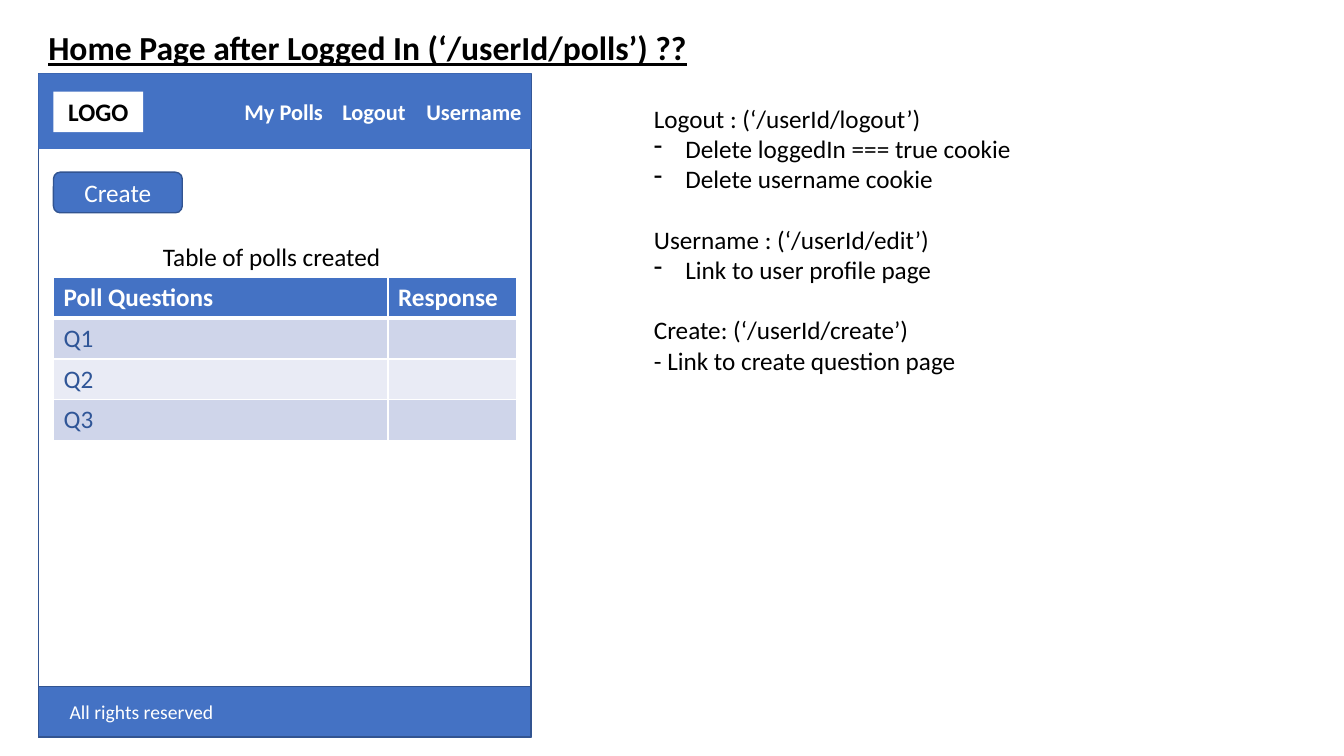
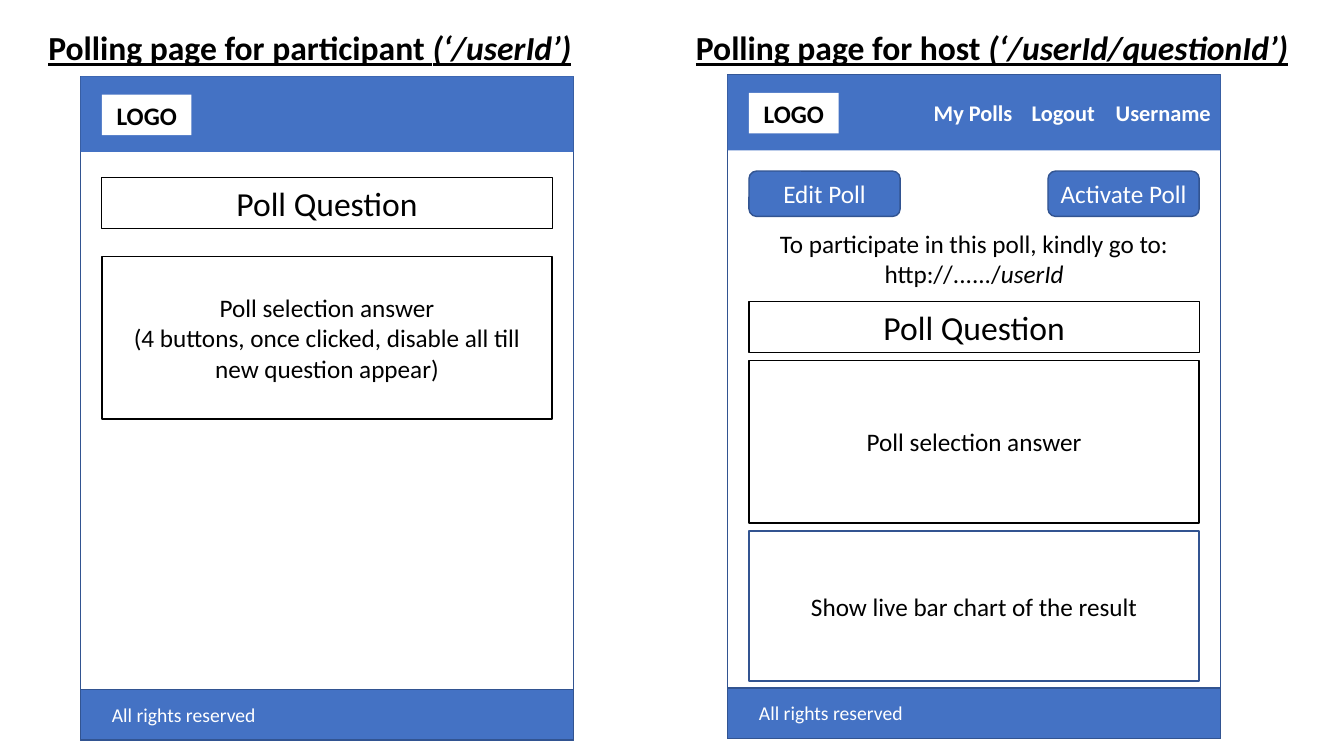
from pptx import Presentation
from pptx.dml.color import RGBColor
from pptx.enum import shapes, text
from pptx.oxml import xmlchemy
from pptx.util import Pt

BLUE = RGBColor(0x44, 0x72, 0xC4)
OUTLINE = RGBColor(0x32, 0x54, 0x91)
CELL_TEXT = RGBColor(0x2F, 0x55, 0x97)
BAND_DARK = RGBColor(0xCF, 0xD5, 0xEA)
BAND_LIGHT = RGBColor(0xE9, 0xEB, 0xF5)
BLACK = RGBColor(0, 0, 0)
WHITE = RGBColor(0xFF, 0xFF, 0xFF)

FONT = "Calibri"
CENTER = text.PP_ALIGN.CENTER
LEFT = text.PP_ALIGN.LEFT
RECTANGLE = shapes.MSO_SHAPE.RECTANGLE
ROUNDED = shapes.MSO_SHAPE.ROUNDED_RECTANGLE

PAGE_WIDTH, PAGE_HEIGHT = 352, 474
HEADER_HEIGHT, FOOTER_HEIGHT = 54, 36
MARGIN = 15.2
CONTENT_WIDTH = PAGE_WIDTH - 2 * MARGIN
NAV_INSET, NAV_TABS = 147.2, (70, 130)


def add_xml(parent, tag, **attributes):
    child = xmlchemy.OxmlElement(tag)
    for name, value in attributes.items():
        child.set(name, str(value))
    parent.append(child)
    return child


class Wireframe:
    def __init__(self):
        self.presentation = Presentation()
        self.presentation.slide_width = Pt(960)
        self.presentation.slide_height = Pt(540)
        self.slide = None

    def new_slide(self):
        self.slide = self.presentation.slides.add_slide(self.presentation.slide_layouts[6])

    def style(self, paragraph, size, color=BLACK, align=LEFT, bold=False):
        paragraph.alignment = align
        for run in paragraph.runs:
            font = run.font
            font.name, font.size, font.bold = FONT, Pt(size), bold
            font.color.rgb = color

    def fill_text(self, shape, words, size, **look):
        frame = shape.text_frame
        frame.word_wrap = True
        frame.text = words
        for paragraph in frame.paragraphs:
            self.style(paragraph, size, **look)

    def label(self, box, words, size=18, **look):
        shape = self.slide.shapes.add_textbox(*map(Pt, box))
        self.fill_text(shape, words, size, **look)
        return shape

    def box(self, box, words="", fill=None, line=None, width=1, size=18,
            kind=RECTANGLE, align=CENTER, **look):
        shape = self.slide.shapes.add_shape(kind, *map(Pt, box))
        shape.shadow.inherit = False
        if fill is None:
            shape.fill.background()
        else:
            shape.fill.solid()
            shape.fill.fore_color.rgb = fill
        if line is None:
            shape.line.fill.background()
        else:
            shape.line.color.rgb = line
            shape.line.width = Pt(width)
        if words:
            self.fill_text(shape, words, size, align=align, **look)
            shape.text_frame.vertical_anchor = text.MSO_ANCHOR.MIDDLE
        return shape

    def button(self, box, words):
        self.box(box, words, BLUE, OUTLINE, kind=ROUNDED, color=WHITE)

    def question(self, left, top):
        self.box((left, top, CONTENT_WIDTH, 36.4), "Poll Question",
                 line=BLACK, width=0.75, size=24)

    def answer(self, left, top, words):
        self.box((left, top, CONTENT_WIDTH, 116), words, WHITE, BLACK)

    def italic_tail(self, shape, words):
        """Continue the last paragraph in italics, in the look of its last run."""
        paragraph = shape.text_frame.paragraphs[-1]
        first = paragraph.runs[-1].font
        run = paragraph.add_run()
        run.text = words
        self.style(paragraph, first.size.pt, first.color.rgb, paragraph.alignment, first.bold)
        run.font.italic = True

    def title(self, left, width, words, route=""):
        shape = self.label((left, 16, width, 36), words, 24, bold=True)
        if route:
            self.italic_tail(shape, route)
        for run in shape.text_frame.paragraphs[0].runs:
            run.font.underline = True

    def page(self, left, top, logo_inset=MARGIN, nav=True):
        """Draw a page outline with its header, logo box and footer."""
        self.box((left, top, PAGE_WIDTH, PAGE_HEIGHT), line=OUTLINE)
        header = self.box((left, top, PAGE_WIDTH, HEADER_HEIGHT), fill=BLUE)
        if nav:
            self.navigation(header)
        self.box((left + logo_inset, top + 13, 64, 29), "LOGO", WHITE, bold=True)
        footer = top + PAGE_HEIGHT - FOOTER_HEIGHT
        self.box((left, footer, PAGE_WIDTH, FOOTER_HEIGHT), fill=BLUE, line=OUTLINE)
        self.label((left + MARGIN, footer + 6, 140, 24), "All rights reserved", 14, color=WHITE)

    def navigation(self, header):
        self.fill_text(header, "My Polls\tLogout\tUsername", 16, color=WHITE, bold=True)
        frame = header.text_frame
        frame.vertical_anchor = text.MSO_ANCHOR.MIDDLE
        frame.margin_left, frame.margin_right = Pt(NAV_INSET), 0
        properties = frame.paragraphs[0]._p.get_or_add_pPr()
        stops = add_xml(properties, "a:tabLst")
        for position in NAV_TABS:
            add_xml(stops, "a:tab", pos=Pt(position), algn="l")

    def notes(self, box, groups):
        """Set out groups of (heading, lines, bulleted), one gap apart."""
        frame = self.slide.shapes.add_textbox(*map(Pt, box)).text_frame
        frame.word_wrap = True
        paragraph = frame.paragraphs[0]
        for index, (heading, lines, bulleted) in enumerate(groups):
            if index:
                paragraph = frame.add_paragraph()
                paragraph.space_before = Pt(21.6)
            paragraph.text = heading
            self.style(paragraph, 18)
            for line in lines:
                paragraph = frame.add_paragraph()
                paragraph.text = line
                self.style(paragraph, 18)
                if bulleted:
                    properties = paragraph._p.get_or_add_pPr()
                    properties.set("marL", str(Pt(22.5)))
                    properties.set("indent", str(Pt(-22.5)))
                    add_xml(properties, "a:buFontTx")
                    add_xml(properties, "a:buChar", char="-")

    def table(self, left, top, widths, row_height, rows):
        table = self.slide.shapes.add_table(
            len(rows), len(widths), Pt(left), Pt(top),
            Pt(sum(widths)), Pt(row_height * len(rows))).table
        table.first_row = table.horz_banding = False
        for column, width in zip(table.columns, widths):
            column.width = Pt(width)
        for row, values in enumerate(rows):
            heading = row == 0
            fill = BLUE if heading else (BAND_LIGHT, BAND_DARK)[row % 2]
            for column, value in enumerate(values):
                cell = table.cell(row, column)
                cell.text = value
                self.style(cell.text_frame.paragraphs[0], 18,
                           WHITE if heading else CELL_TEXT, bold=heading)
                self.borders(cell, {"T": 3 if row == 1 else 1, "B": 3 if heading else 1})
                cell.fill.solid()
                cell.fill.fore_color.rgb = fill

    def borders(self, cell, widths):
        properties = cell._tc.get_or_add_tcPr()
        for side in "LRTB":
            line = add_xml(properties, f"a:ln{side}", w=Pt(widths.get(side, 1)))
            add_xml(add_xml(line, "a:solidFill"), "a:srgbClr", val=WHITE)


def home_slide(wireframe):
    left, inset = 27.4, 10.8
    content = left + inset
    wireframe.new_slide()
    wireframe.title(left, 589, "Home Page after Logged In (‘/userId/polls’) ??")
    wireframe.page(left, 52.4, inset)
    wireframe.button((content, 123, 92, 29), "Create")
    wireframe.label((60.5, 168.5, 267, 29), "Table of polls created", align=CENTER)
    wireframe.table(content, 198, (239, 92), 29.2, [
        ("Poll Questions", "Response"), ("Q1", ""), ("Q2", ""), ("Q3", "")])
    wireframe.notes((460, 70, 435, 225), [
        ("Logout : (‘/userId/logout’)",
         ["Delete loggedIn === true cookie", "Delete username cookie"], True),
        ("Username : (‘/userId/edit’)", ["Link to user profile page"], True),
        ("Create: (‘/userId/create’)", ["- Link to create question page"], False)])


def polling_slide(wireframe):
    wireframe.new_slide()

    participant = 57.6
    content = participant + MARGIN
    wireframe.title(27.4, 430, "Polling page for participant ", "(‘/userId’)")
    wireframe.page(participant, 54.6, nav=False)
    wireframe.question(content, 126.8)
    wireframe.answer(content, 183.4, "Poll selection answer\n"
                     "(4 buttons, once clicked, disable all till new question appear)")

    host = 519.8
    content = host + MARGIN
    button_width = 108
    wireframe.title(490, 460, "Polling page for host ", "(‘/userId/questionId’)")
    wireframe.page(host, 53.4)
    wireframe.button((content, 122.2, button_width, 32.4), "Edit Poll")
    wireframe.button((content + CONTENT_WIDTH - button_width, 122.2, button_width, 32.4),
                     "Activate Poll")
    address = wireframe.label((content, 159.2, CONTENT_WIDTH, 51),
                              "To participate in this poll, kindly go to:\vhttp://....../",
                              align=CENTER)
    wireframe.italic_tail(address, "userId")
    wireframe.question(content, 215.4)
    wireframe.answer(content, 257.6, "Poll selection answer")
    wireframe.box((content, 379.4, CONTENT_WIDTH, 107), "Show live bar chart of the result",
                  line=OUTLINE)


def main():
    wireframe = Wireframe()
    home_slide(wireframe)
    polling_slide(wireframe)
    wireframe.presentation.save("out.pptx")


if __name__ == "__main__":
    main()
